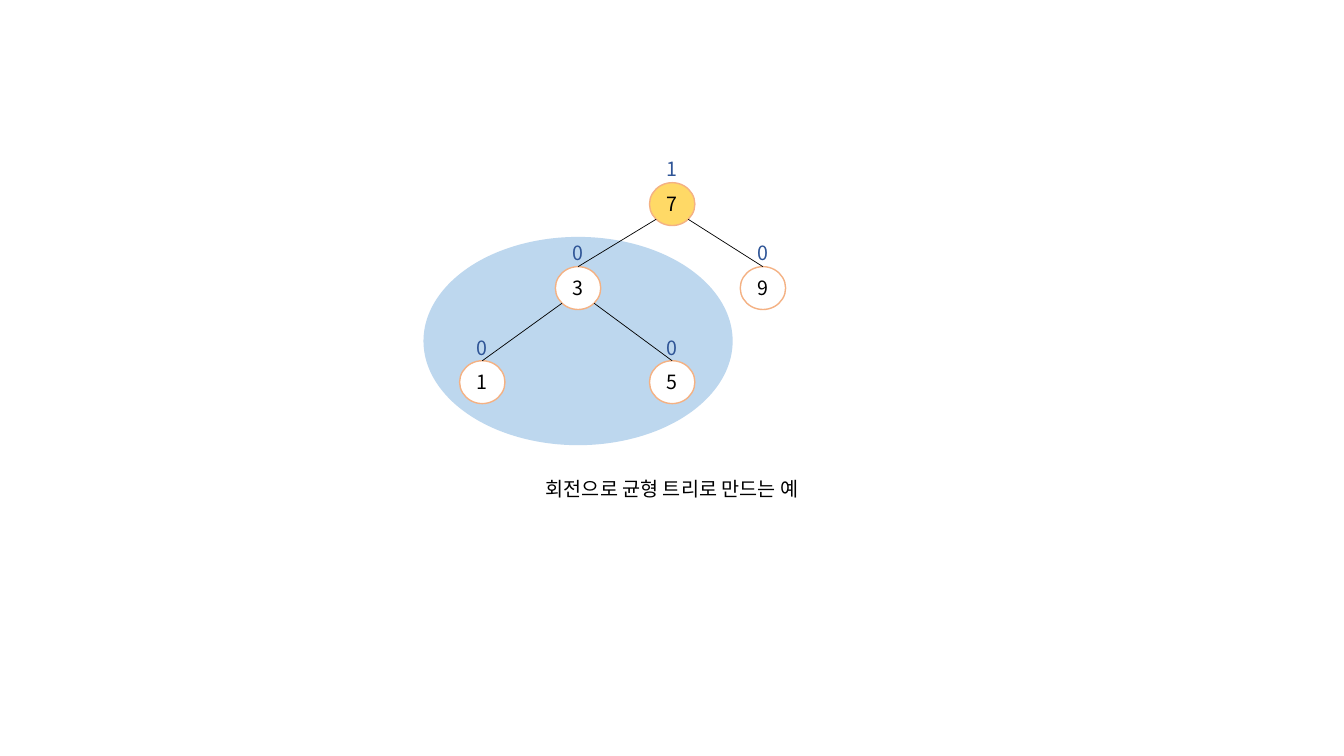
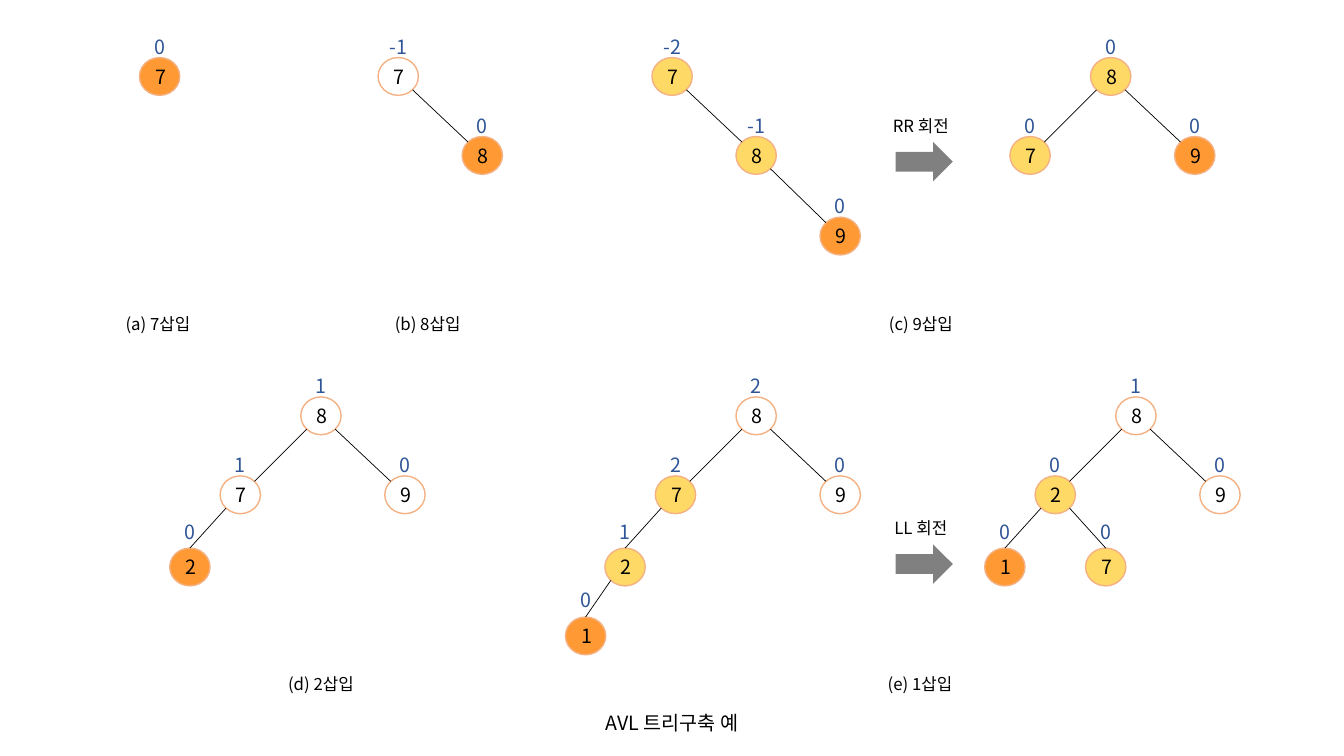
import pptx
import pptx.dml.color
import pptx.enum.shapes
import pptx.enum.text
import pptx.oxml
import pptx.oxml.ns
import pptx.util

SHAPES = pptx.enum.shapes.MSO_SHAPE
TEXT = pptx.enum.text

THEME = {
    "font": "Noto Sans CJK KR",
    "ink": "000000", "balance": "2F5597", "ring": "F4B183",
    "plain": "FFFFFF", "turned": "FFD966", "added": "FF9933",
    "backdrop": "BDD7EE", "arrow": "808080",
    "normal": 14, "small": 12, "ring_width": 1, "edge_width": 0.5,
}

# A grid of 160 columns and 90 rows of square cells
deck = pptx.Presentation()
deck.slide_width = pptx.util.Inches(13.33)
deck.slide_height = pptx.util.Inches(7.5)
CELL = deck.slide_height / 90
DIAGONAL = 0.5 ** 0.5


def add_block(page, kind, middle, top, columns, rows, fill=None):
    """Add a shape, or a text box when kind is None, centred on a column."""
    place = [round(n * CELL) for n in (middle - columns / 2, top, columns, rows)]
    if kind is None:
        return page.shapes.add_textbox(*place)
    shape = page.shapes.add_shape(kind, *place)
    shape.shadow.inherit = False
    shape.fill.solid()
    shape.fill.fore_color.rgb = pptx.dml.color.RGBColor.from_string(THEME[fill])
    shape.line.fill.background()
    return shape


def write(box, text, size="normal", colour="ink", **frame_format):
    """Write one centred line of text in a box."""
    frame = box.text_frame
    for name, value in {"word_wrap": True, **frame_format}.items():
        setattr(frame, name, value)
    para = frame.paragraphs[0]
    para.alignment = TEXT.PP_ALIGN.CENTER
    span = para.add_run()
    span.text = text
    for name, value in {"name": THEME["font"], "size": pptx.util.Pt(THEME[size])}.items():
        setattr(span.font, name, value)
    span.font.color.rgb = pptx.dml.color.RGBColor.from_string(THEME[colour])
    east_asian = pptx.oxml.parse_xml(f'<a:ea {pptx.oxml.ns.nsdecls("a")} typeface="{THEME["font"]}"/>')
    span.font._element.append(east_asian)


# Trees: root column and row, then nodes as
# (parent, columns across, rows down, key, balance, fill, where the edge ends)
ROOT = (None, 0, 0)
LEFT, RIGHT = (0, -9.6, 9.4), (0, 10, 9.4)

rotation_page = {
    "node": (5.4, 5.1),
    "rise": {"top": 3.6},
    "blocks": [(SHAPES.OVAL, 68.8, 28.2, 36.8, 24.8, "backdrop")],
    "captions": [("회전으로 균형 트리로 만드는 예", 80, 56.2, "normal")],
    "trees": [
        (80, 24.3, [
            (*ROOT, "7", "1", "turned", "top"),
            (0, 10.8, 10, "9", "0", "plain", "top"),
            (0, -11.2, 10, "3", "0", "plain", "top"),
            (2, -11.4, 11.2, "1", "0", "plain", "top"),
            (2, 11.2, 11.2, "5", "0", "plain", "top"),
        ]),
    ],
}

insertion_page = {
    "node": (4.8, 4.5),
    "rise": {"corner": 3.3, "top": 4},
    "blocks": [(SHAPES.RIGHT_ARROW, 110, top, 6.8, 4.7, "arrow") for top in (16.9, 64.8)],
    "captions": [
        ("AVL 트리구축 예", 80, 84.1, "normal"),
        ("(a) 7삽입", 18.8, 36.8, "small"),
        ("(b) 8삽입", 50.9, 36.8, "small"),
        ("(c) 9삽입", 109.6, 36.8, "small"),
        ("(d) 2삽입", 38.2, 79.6, "small"),
        ("(e) 1삽입", 109.5, 79.6, "small"),
        ("RR 회전", 109.6, 13.2, "small"),
        ("LL 회전", 109.6, 61.1, "small"),
    ],
    "trees": [
        (19, 9.1, [(*ROOT, "7", "0", "added", "corner")]),
        (47.4, 9.1, [
            (*ROOT, "7", "-1", "plain", "corner"),
            (*RIGHT, "8", "0", "added", "corner"),
        ]),
        (80, 9.1, [
            (*ROOT, "7", "-2", "turned", "corner"),
            (*RIGHT, "8", "-1", "turned", "corner"),
            (1, 10, 9.6, "9", "0", "added", "corner"),
        ]),
        (132.2, 9.1, [
            (*ROOT, "8", "0", "turned", "corner"),
            (*LEFT, "7", "0", "turned", "corner"),
            (*RIGHT, "9", "0", "added", "corner"),
        ]),
        (38.2, 49.5, [
            (*ROOT, "8", "1", "plain", "corner"),
            (*LEFT, "7", "1", "plain", "corner"),
            (*RIGHT, "9", "0", "plain", "corner"),
            (1, -6, 8.6, "2", "0", "added", "top"),
        ]),
        (90, 49.5, [
            (*ROOT, "8", "2", "plain", "corner"),
            (*LEFT, "7", "2", "turned", "corner"),
            (*RIGHT, "9", "0", "plain", "corner"),
            (1, -6, 8.6, "2", "1", "turned", "top"),
            (3, -4.7, 8.2, "1", "0", "added", "top"),
        ]),
        (135.2, 49.5, [
            (*ROOT, "8", "1", "plain", "corner"),
            (*LEFT, "2", "0", "turned", "corner"),
            (*RIGHT, "9", "0", "plain", "corner"),
            (1, -6, 8.6, "1", "0", "added", "top"),
            (1, 6, 8.6, "7", "0", "turned", "top"),
        ]),
    ],
}

for layout in (rotation_page, insertion_page):
    page = deck.slides.add_slide(deck.slide_layouts[6])
    columns, rows = layout["node"]
    reach_x, reach_y = columns / 2 * DIAGONAL, rows / 2 * DIAGONAL

    # Backdrop and arrows
    for block in layout["blocks"]:
        add_block(page, *block)

    # Captions
    for text, middle, top, size in layout["captions"]:
        width, height = (90.8, 4.1) if size == "normal" else (32, 3.6)
        write(add_block(page, None, middle, top, width, height), text, size,
              auto_size=TEXT.MSO_AUTO_SIZE.SHAPE_TO_FIT_TEXT)

    # Trees
    for root_x, root_y, nodes in layout["trees"]:
        centres = []
        for parent, across, down, key, balance, fill, join in nodes:
            from_x, from_y = (root_x, root_y) if parent is None else centres[parent]
            x, y = from_x + across, from_y + down
            centres.append((x, y))

            # Node with its key
            node = add_block(page, SHAPES.OVAL, x, y - rows / 2, columns, rows, fill)
            node.line.color.rgb = pptx.dml.color.RGBColor.from_string(THEME["ring"])
            node.line.width = pptx.util.Pt(THEME["ring_width"])
            write(node, key, vertical_anchor=TEXT.MSO_ANCHOR.MIDDLE)

            # Balance factor above the node
            label_top = y - rows / 2 - layout["rise"][join]
            write(add_block(page, None, x, label_top, columns, 4.1), balance, colour="balance",
                  auto_size=TEXT.MSO_AUTO_SIZE.SHAPE_TO_FIT_TEXT)

            # Edge from the parent
            if parent is None:
                continue
            side = 1 if across > 0 else -1
            ends = (from_x + side * reach_x, from_y + reach_y, x - side * reach_x, y - reach_y)
            edge = page.shapes.add_connector(pptx.enum.shapes.MSO_CONNECTOR.STRAIGHT,
                                             *[round(n * CELL) for n in ends])
            if join == "top":
                edge.end_connect(node, 0)
            edge.line.color.rgb = pptx.dml.color.RGBColor.from_string(THEME["ink"])
            edge.line.width = pptx.util.Pt(THEME["edge_width"])
            edge._element.spPr.append(
                pptx.oxml.parse_xml(f'<a:effectLst {pptx.oxml.ns.nsdecls("a")}/>'))

deck.save("out.pptx")
